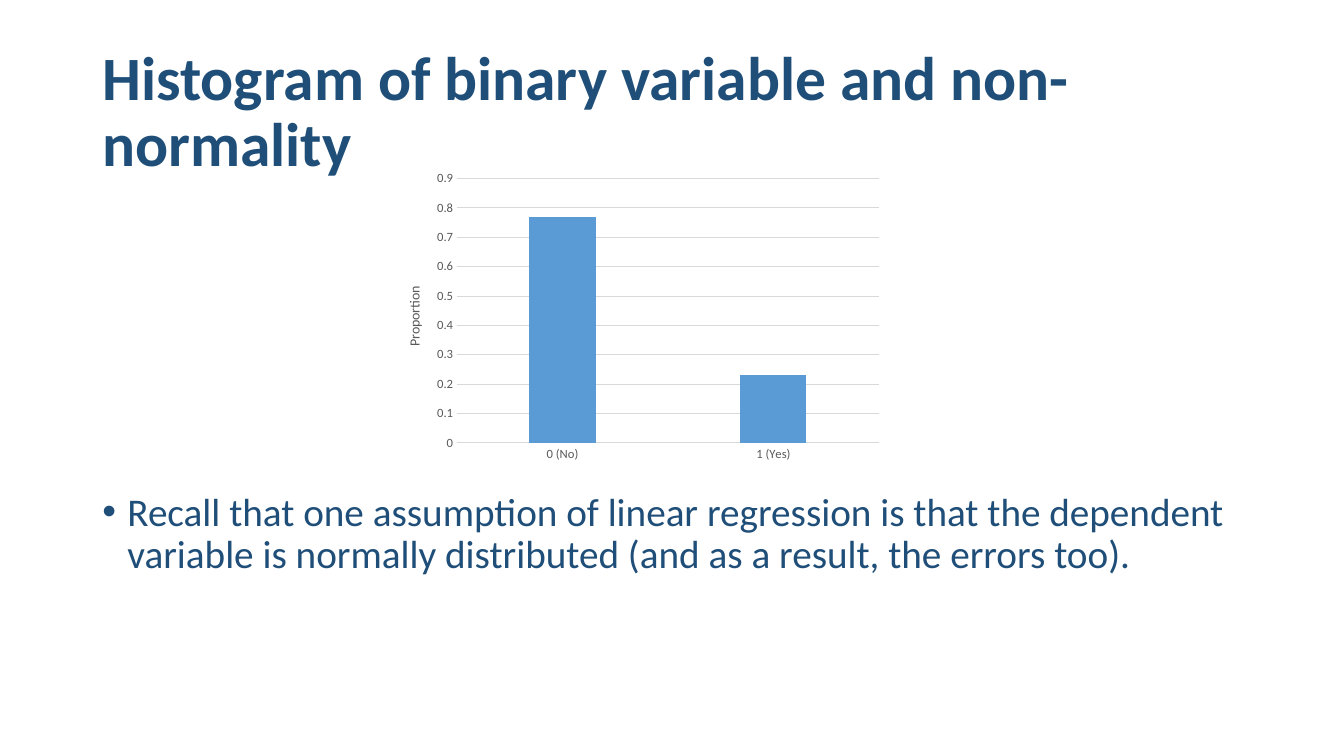
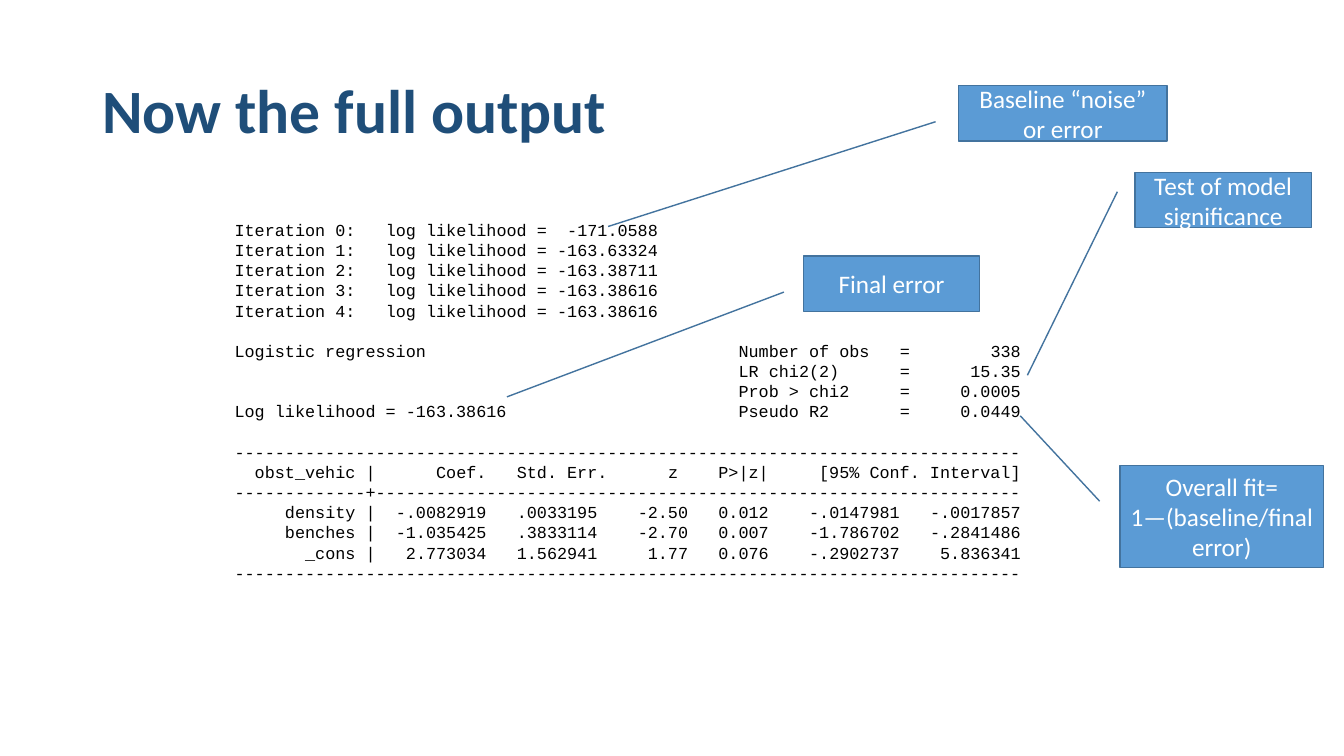
from pptx import Presentation
from pptx.chart.data import CategoryChartData
from pptx.dml.color import RGBColor
from pptx.enum.chart import XL_CHART_TYPE as CT, XL_TICK_MARK as Tick
from pptx.enum.shapes import MSO_SHAPE as Shape
from pptx.enum.text import MSO_ANCHOR as Anchor, PP_ALIGN as Align
from pptx.oxml.ns import qn
from pptx.util import Pt
from lxml import etree

COLORS = {"navy": "1F4E79", "blue": "5B9BD5", "edge": "43739E", "grey": "595959",
          "grid": "D9D9D9", "black": "000000", "white": "FFFFFF"}
TITLE = {"name": "Calibri", "size": 44, "bold": True, "color": "navy"}
BODY = {"name": "Calibri", "size": 28, "color": "navy"}
LABEL = {"name": "Calibri", "size": 18, "color": "white"}
CODE = {"name": "Courier New", "size": 12, "color": "black"}
AXIS = {"name": "Calibri", "size": 9, "bold": False, "color": "grey"}
AXIS_TITLE = {**AXIS, "size": 10}

# Content
TITLES = ["Histogram of binary variable and non-normality", "Now the full output"]
RECALL = ("Recall that one assumption of linear regression is that the dependent "
          "variable is normally distributed (and as a result, the errors too).")
PROPORTIONS = {"0 (No)": 0.77, "1 (Yes)": 0.23}

# Regression output: tab stops are (character column, alignment)
CHAR_W, LINE_H, COLUMNS = 7.2, 14.4, 78
RULE = "-" * COLUMNS
ITERATION = [(15, "l"), (42, "r")]
SUMMARY = [(50, "l"), (66, "l"), (78, "r")]
HEADER = [(c, "r") for c in (14, 25, 37, 44, 53, 78)]
COEFS = [(c, "r") for c in (14, 25, 36, 45, 53, 66, 78)]
# (tab stops, blank lines above, rows of fields)
OUTPUT = [
    (ITERATION, 0, [(f"Iteration {i}:", "log likelihood =", v) for i, v in enumerate(
        ["-171.0588", "-163.63324", "-163.38711", "-163.38616", "-163.38616"])]),
    (SUMMARY, 1, [
        ("Logistic regression", "Number of obs", "=", "338"),
        ("", "LR chi2(2)", "=", "15.35"),
        ("", "Prob > chi2", "=", "0.0005"),
        ("Log likelihood = -163.38616", "Pseudo R2", "=", "0.0449")]),
    ([], 1, [(RULE,)]),
    (HEADER, 0, [("", "obst_vehic |", "Coef.", "Std. Err.", "z", "P>|z|",
                  "[95% Conf. Interval]")]),
    ([], 0, [("-" * 13 + "+" + "-" * (COLUMNS - 14),)]),
    (COEFS, 0, [
        ("", "density |", "-.0082919", ".0033195", "-2.50", "0.012", "-.0147981", "-.0017857"),
        ("", "benches |", "-1.035425", ".3833114", "-2.70", "0.007", "-1.786702", "-.2841486"),
        ("", "_cons |", "2.773034", "1.562941", "1.77", "0.076", "-.2902737", "5.836341")]),
    ([], 0, [(RULE,)]),
]

# (paragraphs, box, line start y and x, line end y and x as fractions of the box)
CALLOUTS = [
    (["Overall fit=", "1—(baseline/final error)"], (800, 332.6, 145.4, 72.7),
     (0.35, -0.1, -0.49, -0.49)),
    (["Test of model significance"], (810.7, 123.1, 126, 39.6), (0.35, -0.1, 3.66, -0.61)),
    (["Baseline “noise” or error"], (684.7, 61.2, 149, 39.6), (0.65, -0.11, 2.54, -1.68)),
    (["Final error"], (573.8, 182.9, 126, 39.6), (0.65, -0.11, 2.54, -1.68)),
]


def rgb(name):
    return RGBColor.from_string(COLORS[name])


def set_font(font, style):
    for key, value in style.items():
        if key == "color":
            font.color.rgb = rgb(value)
        else:
            setattr(font, key, Pt(value) if key == "size" else value)


def write(p, text, style, **layout):
    r = p.add_run()
    r.text = text
    set_font(r.font, style)
    for key, value in layout.items():
        setattr(p, key, value)


def next_paragraph(tf):
    first = tf.paragraphs[0]
    return tf.add_paragraph() if first.runs else first


def add_text(s, box, anchor=Anchor.TOP):
    tf = s.shapes.add_textbox(*map(Pt, box)).text_frame
    tf.word_wrap, tf.vertical_anchor = True, anchor
    return tf


def add_slide(prs, title):
    s = prs.slides.add_slide(prs.slide_layouts[6])
    tf = add_text(s, (66, 28.75, 828, 104.4), Anchor.MIDDLE)
    write(tf.paragraphs[0], title, TITLE, line_spacing=0.9)
    return s


def add_bullet(s, text, box):
    p = add_text(s, box).paragraphs[0]
    write(p, text, BODY, line_spacing=0.9)
    pPr = p._p.get_or_add_pPr()
    pPr.set("marL", str(Pt(18)))
    pPr.set("indent", str(-Pt(18)))
    etree.SubElement(pPr, qn("a:buFont"), typeface="Arial")
    etree.SubElement(pPr, qn("a:buChar"), char="•")


def add_histogram(s, box):
    data = CategoryChartData()
    data.categories = list(PROPORTIONS)
    data.add_series("Series 1", list(PROPORTIONS.values()))
    chart = s.shapes.add_chart(CT.COLUMN_CLUSTERED, *map(Pt, box), data).chart
    chart.has_legend = chart.has_title = False
    set_font(chart.font, AXIS)
    plot = chart.plots[0]
    plot.gap_width, plot.overlap, plot.vary_by_categories = 219, -27, False
    fill = plot.series[0].format.fill
    fill.solid()
    fill.fore_color.rgb = rgb("blue")

    cat, val = chart.category_axis, chart.value_axis
    for axis in (cat, val):
        axis.major_tick_mark = axis.minor_tick_mark = Tick.NONE
        set_font(axis.tick_labels.font, AXIS)
    for line in (cat.format.line, val.major_gridlines.format.line):
        line.color.rgb, line.width = rgb("grid"), Pt(0.75)
    val.format.line.fill.background()
    val.minimum_scale, val.maximum_scale, val.major_unit = 0, 0.9, 0.1
    write(val.axis_title.text_frame.paragraphs[0], "Proportion", AXIS_TITLE)


def add_output(s, box):
    tf = add_text(s, box)
    for stops, blanks, rows in OUTPUT:
        for i, fields in enumerate(rows):
            p = next_paragraph(tf)
            write(p, "\t".join(fields), CODE, line_spacing=Pt(LINE_H),
                  space_before=Pt(0 if i else blanks * LINE_H))
            if stops:
                tabs = etree.SubElement(p._p.get_or_add_pPr(), qn("a:tabLst"))
                for column, side in stops:
                    etree.SubElement(tabs, qn("a:tab"), pos=str(Pt(column * CHAR_W)), algn=side)


def add_callout(s, lines, box, pointer):
    sp = s.shapes.add_shape(Shape.LINE_CALLOUT_1, *map(Pt, box))
    sp.shadow.inherit = False
    for i, value in enumerate(pointer):
        sp.adjustments[i] = value
    sp.fill.solid()
    sp.fill.fore_color.rgb = rgb("blue")
    sp.line.color.rgb, sp.line.width = rgb("edge"), Pt(1)
    tf = sp.text_frame
    tf.word_wrap, tf.vertical_anchor = True, Anchor.MIDDLE
    for text in lines:
        write(next_paragraph(tf), text, LABEL, alignment=Align.CENTER)


def main():
    prs = Presentation()
    prs.slide_width, prs.slide_height = Pt(960), Pt(540)

    # Histogram
    s = add_slide(prs, TITLES[0])
    add_bullet(s, RECALL, (66, 348, 828, 138))
    add_histogram(s, (275, 118, 360, 216))

    # Regression output with callouts
    s = add_slide(prs, TITLES[1])
    add_output(s, (160.5, 153.4, 618, 269))
    for callout in CALLOUTS:
        add_callout(s, *callout)

    prs.save("out.pptx")


if __name__ == "__main__":
    main()
